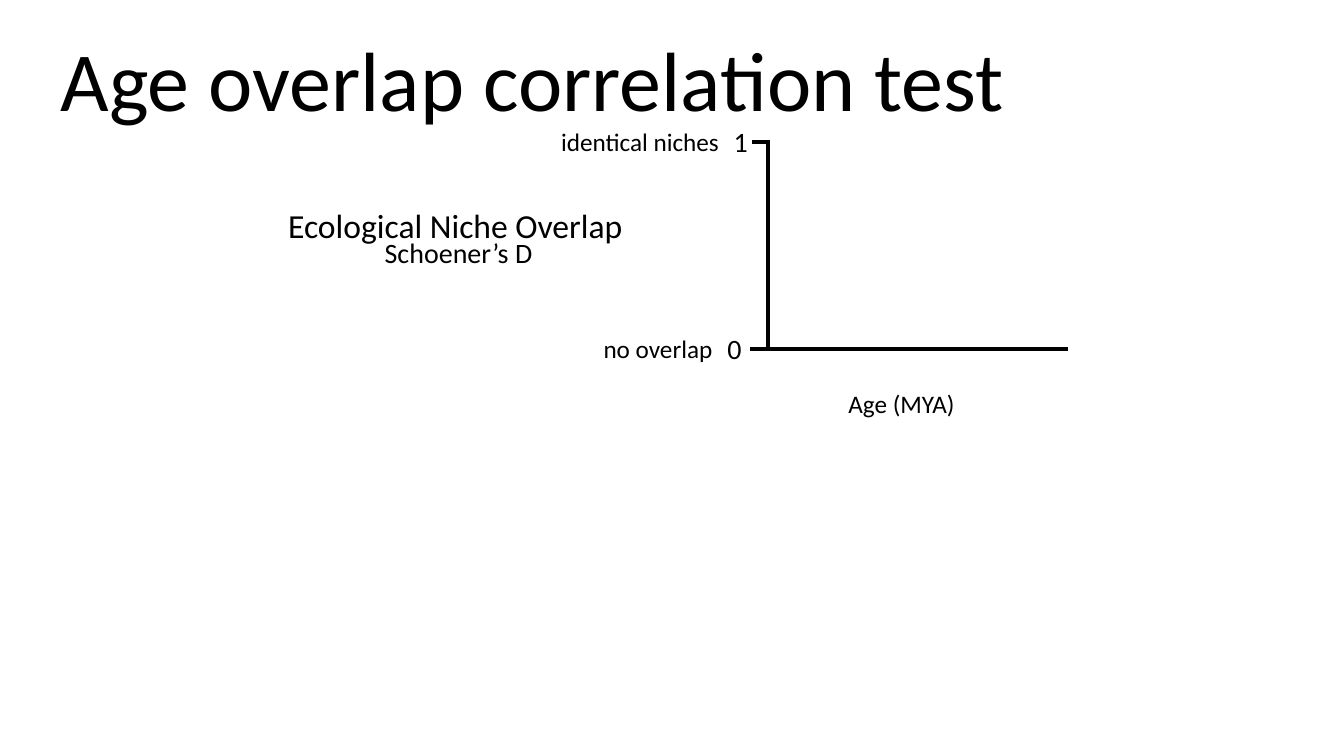
"""Build the age overlap correlation slide with its empty niche overlap axes."""
from dataclasses import dataclass

from lxml import etree
from pptx import Presentation
from pptx.dml.color import RGBColor
from pptx.enum.shapes import MSO_CONNECTOR
from pptx.enum.text import MSO_ANCHOR, MSO_AUTO_SIZE, PP_ALIGN
from pptx.oxml.ns import qn
from pptx.shapes.base import BaseShape
from pptx.slide import Slide
from pptx.util import Cm, Pt

LEFT, CENTER = PP_ALIGN.LEFT, PP_ALIGN.CENTER
TOP = MSO_ANCHOR.TOP
FIT_SHAPE = MSO_AUTO_SIZE.SHAPE_TO_FIT_TEXT
STRAIGHT = MSO_CONNECTOR.STRAIGHT
COLORS = {"ink": "000000"}
FONT_NAME = "Calibri"
TITLE_ONLY = 5
AXIS_X, AXIS_TOP, AXIS_BOTTOM = 19.35, 3.53, 8.79
TICK_TOP = 3.58


@dataclass(frozen=True)
class Label:
    """Text with its box in centimetres and its size in points."""

    text: str
    left: float
    top: float
    width: float
    height: float
    size: int
    alignment: PP_ALIGN = LEFT
    wrap: bool = False


@dataclass(frozen=True)
class AxisLine:
    """Straight line with its ends in centimetres."""

    start_x: float
    start_y: float
    end_x: float
    end_y: float


TITLE = Label("Age overlap correlation test", 1.27, 0.56, 24.54, 2.82, 60)
LABELS = [
    Label("Ecological Niche Overlap ", 6.96, 5.05, 9.22, 1.27, 24, CENTER),
    Label("Schoener’s D", 8.66, 5.82, 5.79, 1.12, 20, CENTER, True),
    Label("Age (MYA)", 21.13, 9.65, 3.23, 1.02, 18),
    Label("0", 18.08, 8.23, 0.86, 1.12, 20),
    Label("1", 18.24, 3.02, 0.86, 1.12, 20),
    Label("no overlap", 14.96, 8.28, 3.3, 1.02, 18),
    Label("identical niches", 13.89, 3.05, 4.55, 1.02, 18),
]
AXIS_LINES = [
    AxisLine(AXIS_X, AXIS_TOP, AXIS_X, AXIS_BOTTOM),
    AxisLine(19.3, AXIS_BOTTOM, 26.92, AXIS_BOTTOM),
    AxisLine(19.38, TICK_TOP, 18.95, TICK_TOP),
    AxisLine(AXIS_X, AXIS_BOTTOM, 18.9, AXIS_BOTTOM),
]


def set_attributes(target: object, values: dict) -> None:
    """Set every named attribute on the target."""
    for name, value in values.items():
        setattr(target, name, value)


def format_label(shape: BaseShape, label: Label) -> None:
    """Place a shape and write its label."""
    set_attributes(shape, {
        "left": Cm(label.left), "top": Cm(label.top),
        "width": Cm(label.width), "height": Cm(label.height),
    })
    text_frame = shape.text_frame
    text_frame.text = label.text
    set_attributes(text_frame, {
        "word_wrap": label.wrap, "auto_size": FIT_SHAPE, "vertical_anchor": TOP,
    })
    paragraph = text_frame.paragraphs[0]
    paragraph.alignment = label.alignment
    font = paragraph.runs[0].font
    set_attributes(font, {"name": FONT_NAME, "size": Pt(label.size)})
    font.color.rgb = RGBColor.from_string(COLORS["ink"])


def draw_line(slide: Slide, line: AxisLine) -> None:
    """Draw one axis or tick line without a shadow."""
    connector = slide.shapes.add_connector(
        STRAIGHT, Cm(line.start_x), Cm(line.start_y), Cm(line.end_x), Cm(line.end_y)
    )
    connector.line.width = Pt(3)
    connector.line.color.rgb = RGBColor.from_string(COLORS["ink"])
    etree.SubElement(connector._element.spPr, qn("a:effectLst"))


def main() -> None:
    """Build and save the presentation."""
    presentation = Presentation()
    set_attributes(presentation, {"slide_width": Cm(33.87), "slide_height": Cm(19.05)})
    slide = presentation.slides.add_slide(presentation.slide_layouts[TITLE_ONLY])
    format_label(slide.shapes.title, TITLE)
    for line in AXIS_LINES:
        draw_line(slide, line)
    for label in LABELS:
        format_label(slide.shapes.add_textbox(0, 0, 0, 0), label)
    presentation.save("out.pptx")


if __name__ == "__main__":
    main()
